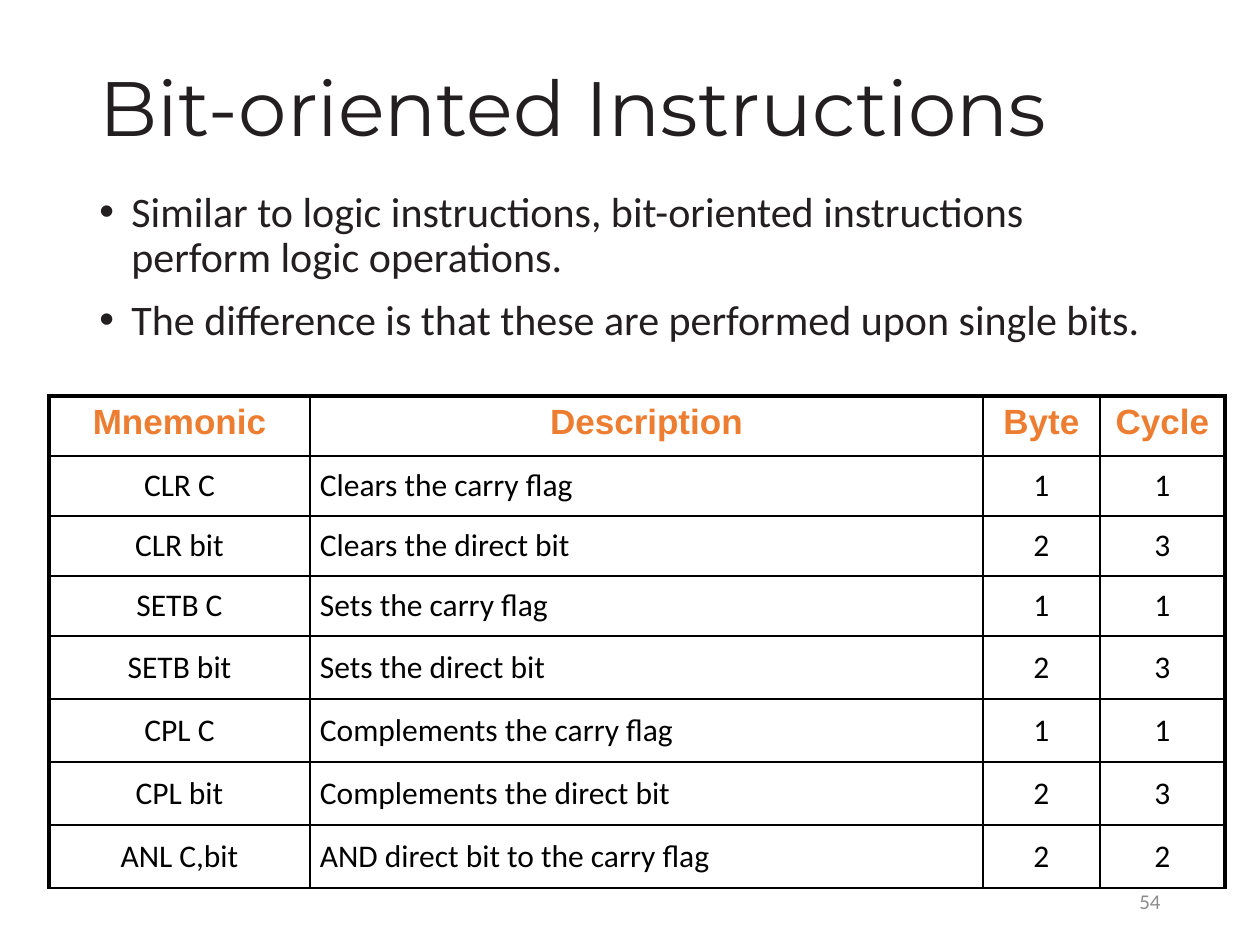
from lxml import etree
from pptx import Presentation
from pptx import util as u
from pptx.dml.color import RGBColor
from pptx.enum import text
from pptx.oxml.ns import qn

EMU_PER_PX = 914400 / 126
COLOURS = {"ink": "231F20", "accent": "ED7D31", "cell": "000000",
           "paper": "FFFFFF", "muted": "8C8C8C"}
POINTS = [
    "Similar to logic instructions, bit-oriented instructions perform logic operations.",
    "The difference is that these are performed upon single bits.",
]
INSTRUCTIONS = [
    ("Mnemonic", "Description", "Byte", "Cycle"),
    ("CLR C", "Clears the carry flag", "1", "1"),
    ("CLR bit", "Clears the direct bit", "2", "3"),
    ("SETB C", "Sets the carry flag", "1", "1"),
    ("SETB bit", "Sets the direct bit", "2", "3"),
    ("CPL C", "Complements the carry flag", "1", "1"),
    ("CPL bit", "Complements the direct bit", "2", "3"),
    ("ANL C,bit", "AND direct bit to the carry flag", "2", "2"),
]
COLUMN_WIDTHS = [261, 673, 117, 125]
ROW_HEIGHTS = [60] * 4 + [63] * 4


def px(length):
    """Turn px into EMU."""
    return u.Emu(round(length * EMU_PER_PX))


def rgb(name):
    """Look up a named colour."""
    return RGBColor.from_string(COLOURS[name])


def add_bullet(paragraph, indent):
    """Give a paragraph a hanging round bullet."""
    properties = paragraph._p.get_or_add_pPr()
    properties.set("marL", str(px(indent)))
    properties.set("indent", str(-px(indent)))
    etree.SubElement(properties, qn("a:buFont"), typeface="Arial")
    etree.SubElement(properties, qn("a:buChar"), char="•")


def write(frame, lines, *, size, colour, font="Calibri", bold=False,
          align=text.PP_ALIGN.LEFT, anchor=text.MSO_ANCHOR.TOP,
          line_spacing=1.0, gap=0, bullet_indent=0):
    """Fill a text frame with formatted paragraphs."""
    frame.word_wrap = True
    frame.vertical_anchor = anchor
    for index, line in enumerate(lines):
        paragraph = frame.add_paragraph() if index else frame.paragraphs[0]
        paragraph.text = line
        paragraph.alignment = align
        paragraph.line_spacing = line_spacing
        paragraph.space_before = u.Pt(gap if index else 0)
        if bullet_indent:
            add_bullet(paragraph, bullet_indent)
        run_font = paragraph.runs[0].font
        run_font.name, run_font.size, run_font.bold = font, u.Pt(size), bold
        run_font.color.rgb = rgb(colour)


def add_title(slide, heading, left, top, width, height):
    """Place and format the title placeholder."""
    title = slide.shapes.title
    title.left, title.top, title.width, title.height = map(px, (left, top, width, height))
    title.text_frame.auto_size = text.MSO_AUTO_SIZE.NONE
    write(title.text_frame, [heading], size=44, colour="ink", font="Montserrat",
          anchor=text.MSO_ANCHOR.MIDDLE, line_spacing=0.9)


def add_text(slide, lines, left, top, width, height, **style):
    """Add a text box with formatted lines."""
    box = slide.shapes.add_textbox(*map(px, (left, top, width, height)))
    write(box.text_frame, lines, **style)


def set_borders(cell, widths):
    """Draw the sides of a cell in the given point widths."""
    properties = cell._tc.get_or_add_tcPr()
    for side in "LRTB":
        line = etree.SubElement(properties, qn(f"a:ln{side}"), w=str(u.Pt(widths[side])))
        fill = etree.SubElement(line, qn("a:solidFill"))
        etree.SubElement(fill, qn("a:srgbClr"), val=COLOURS["cell"])


def format_cell(cell, entry, row, column):
    """Fill and format one cell according to its place in the table."""
    last_column = len(COLUMN_WIDTHS) - 1
    set_borders(cell, {"L": 1 if column else 2.25,
                       "R": 2.25 if column == last_column else 1,
                       "T": 1 if row else 2.25, "B": 1})
    cell.fill.solid()
    cell.fill.fore_color.rgb = rgb("paper")
    if row == 0:
        style = dict(size=20, colour="accent", font="Arial", bold=True)
    else:
        cell.margin_left = cell.margin_right = px(10)
        cell.margin_top = cell.margin_bottom = px(10)
        style = dict(size=18, colour="cell")
    justified = row and column == 1
    write(cell.text_frame, [entry], **style,
          align=text.PP_ALIGN.JUSTIFY if justified else text.PP_ALIGN.CENTER)
    cell.vertical_anchor = text.MSO_ANCHOR.MIDDLE if row else text.MSO_ANCHOR.TOP


def add_instruction_table(slide, left, top):
    """Add the table of instructions."""
    size = sum(COLUMN_WIDTHS), sum(ROW_HEIGHTS)
    table = slide.shapes.add_table(len(ROW_HEIGHTS), len(COLUMN_WIDTHS),
                                   *map(px, (left, top, *size))).table
    table.first_row = table.horz_banding = False
    for column, width in zip(table.columns, COLUMN_WIDTHS):
        column.width = px(width)
    for row, height in zip(table.rows, ROW_HEIGHTS):
        row.height = px(height)
    for row, entries in enumerate(INSTRUCTIONS):
        for column, entry in enumerate(entries):
            format_cell(table.cell(row, column), entry, row, column)


def main():
    """Build the slide and save it."""
    deck = Presentation()
    deck.slide_width, deck.slide_height = px(1260), px(945)
    slide = deck.slides.add_slide(deck.slide_layouts[5])
    add_title(slide, "Bit-oriented Instructions", 87, 50, 1086, 124)
    add_text(slide, POINTS, 87, 185, 1086, 189, size=24, colour="ink",
             line_spacing=0.9, gap=10, bullet_indent=32)
    add_instruction_table(slide, 49, 396)
    add_text(slide, ["54"], 890, 876, 283, 50, size=12, colour="muted",
             align=text.PP_ALIGN.RIGHT, anchor=text.MSO_ANCHOR.MIDDLE)
    deck.save("out.pptx")


if __name__ == "__main__":
    main()
